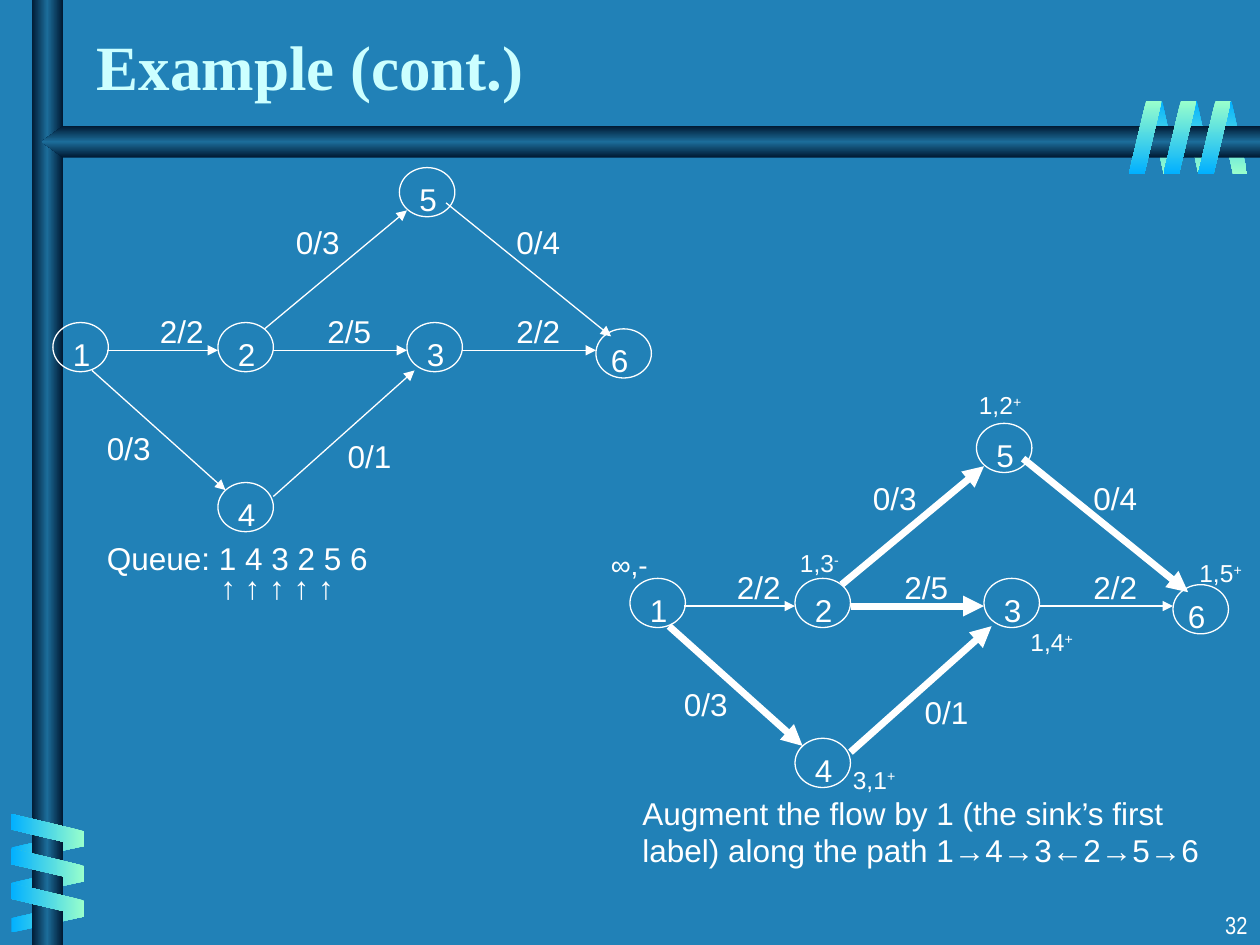
from dataclasses import dataclass

from lxml import etree
from pptx import Presentation
from pptx.dml.color import RGBColor
from pptx.enum.shapes import MSO_CONNECTOR, MSO_SHAPE
from pptx.enum.text import MSO_AUTO_SIZE, PP_ALIGN
from pptx.oxml import parse_xml
from pptx.oxml.ns import nsdecls, qn
from pptx.util import Inches, Pt

OVAL, RECT, SLANT = MSO_SHAPE.OVAL, MSO_SHAPE.RECTANGLE, MSO_SHAPE.PARALLELOGRAM
STRAIGHT = MSO_CONNECTOR.STRAIGHT
FIT, LEFT, RIGHT = MSO_AUTO_SIZE.SHAPE_TO_FIT_TEXT, PP_ALIGN.LEFT, PP_ALIGN.RIGHT


@dataclass(frozen=True)
class Theme:
    background: RGBColor = RGBColor(0x21, 0x81, 0xB7)
    ink: RGBColor = RGBColor(0xFF, 0xFF, 0xFF)
    title: RGBColor = RGBColor(0xCC, 0xFF, 0xFF)
    bar: tuple = ("001932", "1C6D9A", "001932")
    coil_front: tuple = ("99FFCC", "01B0FF")
    coil_back: tuple = ("01B0FF", "99FFCC")
    body_font: str = "Arial"
    title_font: str = "Times New Roman"
    number_font: str = "Arial Narrow"
    title_size: int = 36
    body_size: int = 18
    source_size: int = 16
    small_size: int = 14
    thin: float = 0.75
    bold: float = 4


theme = Theme()
prs = Presentation()
prs.slide_width, prs.slide_height = Inches(10), Inches(7.5)
s = prs.slides.add_slide(prs.slide_layouts[6])
s.background.fill.solid()
s.background.fill.fore_color.rgb = theme.background

# The slide is a grid of 100 columns by 75 rows.
COL, ROW = prs.slide_width / 100, prs.slide_height / 75


def paint_gradient(sp, colors, angle):
    """Fill without outline; the gradient keeps its angle when the shape turns."""
    sp.shadow.inherit = False
    sp.line.fill.background()
    stops = "".join(
        f'<a:gs pos="{100000 * i // (len(colors) - 1)}"><a:srgbClr val="{c}"/></a:gs>'
        for i, c in enumerate(colors))
    fill = parse_xml(
        f'<a:gradFill {nsdecls("a")} rotWithShape="0"><a:gsLst>{stops}</a:gsLst>'
        f'<a:lin ang="{angle * 60000}" scaled="0"/></a:gradFill>')
    sp.fill.background()
    props = sp._element.spPr
    props.replace(props.find(qn("a:noFill")), fill)


def add_text(x, y, w, h, runs, size=theme.body_size, font=theme.body_font,
             color=theme.ink, bold=False, wrap=True, align=LEFT):
    """Place a text box; every run after the first is superscript."""
    tf = s.shapes.add_textbox(
        round(x * COL), round(y * ROW), round(w * COL), round(h * ROW)).text_frame
    tf.word_wrap = wrap
    tf.auto_size = FIT
    p = tf.paragraphs[0]
    p.alignment = align
    for i, text in enumerate(runs):
        r = p.add_run()
        r.text = text
        r.font.size, r.font.name, r.font.bold = Pt(size), font, bold
        r.font.color.rgb = color
        if i:
            r.font._element.set("baseline", "30000")
    return tf


# Frame: coil backs, bars, then coil fronts.
# Coil: left, top, column step, row step, width, rotation, flipped, colors, angle
coil_backs = [
    (91.1, 8, 2.75, 0, 2.4, 180, True, theme.coil_back, 90),
    (2.6, 64.3, 0, 2.8, 2.4, 90, True, theme.coil_back, 180),
]
coil_fronts = [
    (2.5, 63, 0, 2.75, 2.6, 270, False, theme.coil_front, 180),
    (89.6, 8, 2.75, 0, 2.6, 0, False, theme.coil_front, 90),
]
for layer in (coil_backs, coil_fronts):
    for x, y, dx, dy, w, turn, flipped, colors, angle in layer:
        for i in range(3):
            sp = s.shapes.add_shape(
                SLANT, round((x + i * dx) * COL), round((y + i * dy) * ROW),
                round(w * COL), round(5.8 * ROW))
            sp.adjustments[0] = 0.53
            sp.rotation = turn
            if flipped:
                sp._element.spPr.find(qn("a:xfrm")).set("flipH", "1")
            paint_gradient(sp, colors, angle)
    if layer is coil_backs:
        post = s.shapes.add_shape(
            RECT, round(2.5 * COL), 0, round(2.5 * COL), prs.slide_height)
        paint_gradient(post, theme.bar, 180)
        corners = [(round(x * COL), round(y * ROW)) for x, y in
                   [(100, 10), (5, 10), (3.3, 11.25), (5, 12.5), (100, 12.5)]]
        outline = s.shapes.build_freeform(*corners[0], scale=1.0)
        outline.add_line_segments(corners[1:], close=True)
        paint_gradient(outline.convert_to_shape(), theme.bar, 90)

# Flow network, drawn twice; the second time the labelled edges are bold.
nodes = {"1": (4.2, 25.6), "4": (17.3, 38.3), "3": (32.3, 25.6),
         "2": (17.3, 25.6), "5": (31.7, 13.3), "6": (47.3, 26.1)}
# Edge: start, end, label, label position, bold in the second network
edges = [
    ((7.3, 29.4), (17.9, 38.9), "0/3", (7.5, 33.6), True),
    ((8.5, 27.8), (17.3, 27.8), "2/2", (11.7, 24.3), False),
    ((21, 26.1), (32.3, 16.7), "0/3", (22.5, 17.2), True),
    ((21.7, 27.8), (32.3, 27.8), "2/5", (25, 24.3), True),
    ((21.7, 39.4), (32.9, 29.4), "0/1", (26.6, 34.2), True),
    ((36.7, 27.8), (47.3, 27.8), "2/2", (40, 24.3), False),
    ((35.4, 16.1), (48.5, 26.7), "0/4", (40, 17.2), True),
]
for dx, dy, labelled in [(0, 0, False), (45.8, 20.3, True)]:
    for x, y in nodes.values():
        circle = s.shapes.add_shape(
            OVAL, round((x + dx) * COL), round((y + dy) * ROW),
            round(4.4 * COL), round(3.9 * ROW))
        circle.shadow.inherit = False
        circle.fill.background()
        circle.line.color.rgb = theme.ink
        circle.line.width = Pt(theme.thin)
    for (x1, y1), (x2, y2), _, _, on_label in edges:
        arrow = s.shapes.add_connector(
            STRAIGHT, round((x1 + dx) * COL), round((y1 + dy) * ROW),
            round((x2 + dx) * COL), round((y2 + dy) * ROW))
        arrow.line.color.rgb = theme.ink
        arrow.line.width = Pt(theme.bold if labelled and on_label else theme.thin)
        etree.SubElement(arrow.line._get_or_add_ln(), qn("a:tailEnd"), type="triangle")
        etree.SubElement(arrow._element.spPr, qn("a:effectLst"))
    for name, (x, y) in nodes.items():
        inset = 0.2 if name == "6" else 0.6
        add_text(x + dx + inset, y + dy + 0.5, 3.4, 4, [name], wrap=False)
    for _, _, label, (x, y), _ in edges:
        add_text(x + dx, y + dy, 5.5, 4, [label], wrap=False)

# Node labels of the second network
add_text(47.5, 43, 5, 3.7, ["∞,-"], theme.source_size)
for x, y, label, sign in [(62.5, 43, "1,3", "-"), (76.7, 30.5, "1,2", "+"),
                          (94.2, 43.8, "1,5", "+"), (80.8, 49.3, "1,4", "+"),
                          (66.7, 60.2, "3,1", "+")]:
    add_text(x, y, 5.8, 3.4, [label, sign], theme.small_size)

add_text(50, 62.5, 46.7, 7, [
    "Augment the flow by 1 (the sink’s first label) along the path 1→4→3←2→5→6"])

queue = add_text(7.5, 44.2, 24.2, 4.1, ["Queue: 1 4 3 2 5 6"])
queue.paragraphs[0].line_spacing = 0.25
p = queue.add_paragraph()
p.line_spacing, p.space_before = 0.25, Pt(11.2)
p._p.get_or_add_pPr().set("marL", str(round(9 * COL)))
r = p.add_run()
r.text = "↑ ↑ ↑ ↑ ↑"
r.font.size, r.font.name = Pt(theme.body_size), theme.body_font
r.font.color.rgb = theme.ink

add_text(6.7, 1.7, 49.2, 7, ["Example (cont.)"], theme.title_size,
         theme.title_font, theme.title, bold=True)
add_text(79.2, 71.7, 20.8, 3.3, ["32"], theme.small_size, theme.number_font,
         align=RIGHT)

prs.save("out.pptx")
